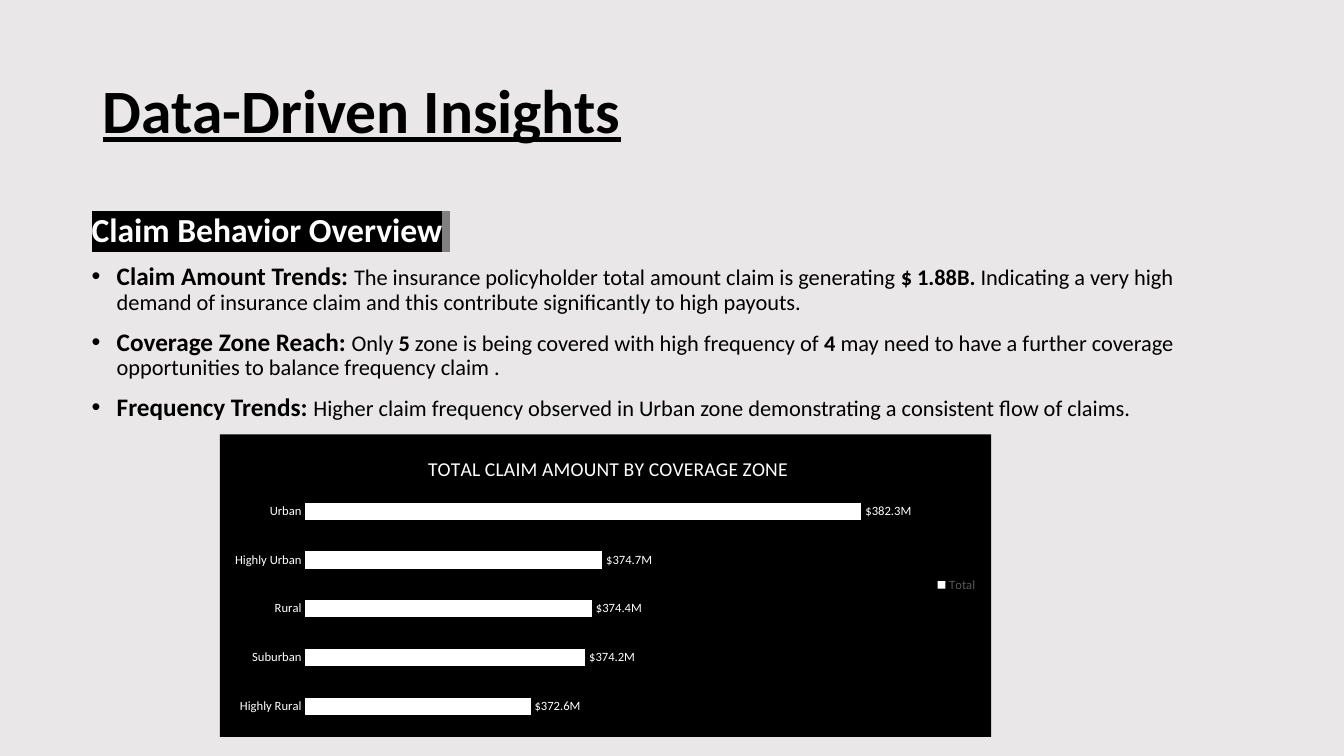
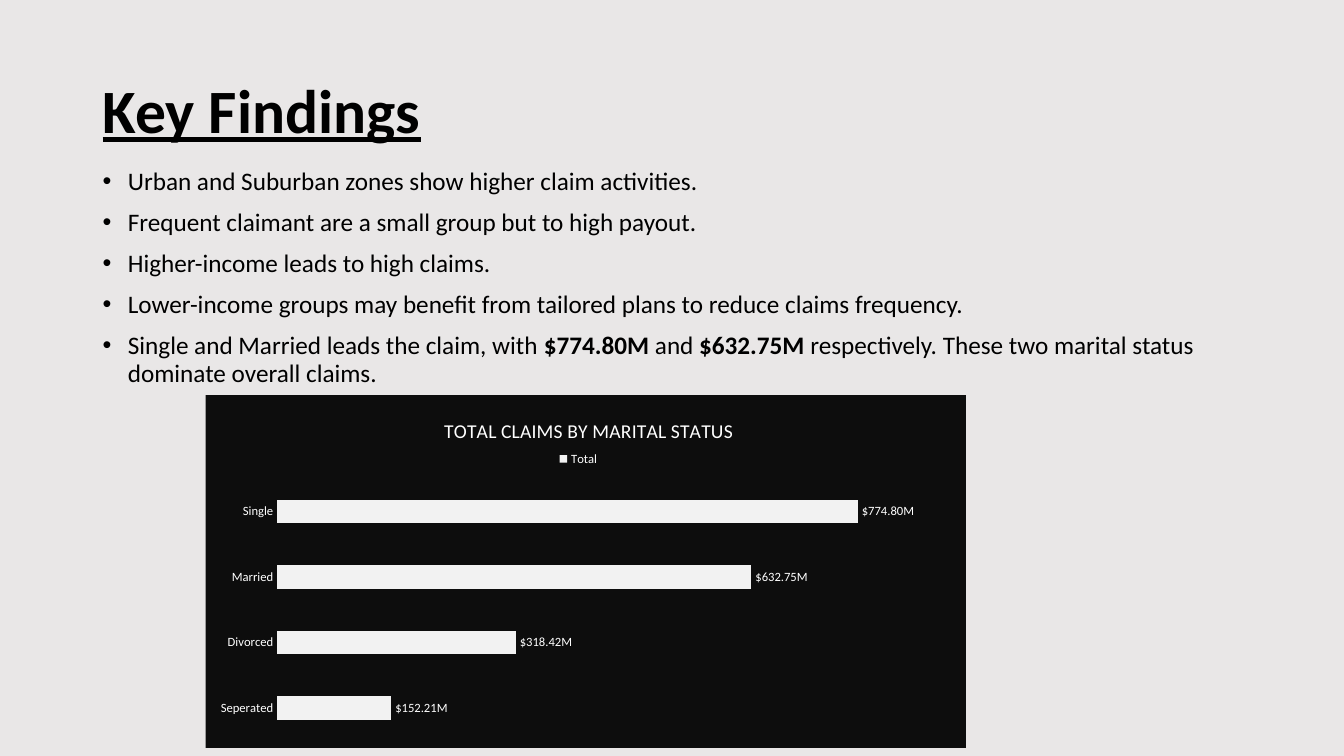
"""Build two insurance claim slides, each with a title, bullets and a bar chart."""
from lxml import etree
from pptx import Presentation
from pptx.chart import data as chart_data
from pptx.dml.color import RGBColor
from pptx.enum import chart as ce, text as te
from pptx.oxml import parse_xml
from pptx.oxml import ns
from pptx.util import Inches, Pt

FONT = "Calibri"
PAPER = RGBColor(0xE9, 0xE7, 0xE7)
BLACK = RGBColor(0x00, 0x00, 0x00)
WHITE = RGBColor(0xFF, 0xFF, 0xFF)
GRAY = RGBColor(0x80, 0x80, 0x80)
DARK_GRAY = RGBColor(0x59, 0x59, 0x59)
NEAR_BLACK = RGBColor(0x0D, 0x0D, 0x0D)
NEAR_WHITE = RGBColor(0xF2, 0xF2, 0xF2)

SLIDES = [
    {
        "title": "Data-Driven Insights",
        "body_at": (0.81, 2.07, 11.5, 5.4),
        "heading": "Claim Behavior Overview",
        "bullets": [
            [("Claim Amount Trends: ", 18, True),
             ("The insurance policyholder total amount claim is generating ", 16, False),
             ("$ 1.88B. ", 16, True),
             ("Indicating a very high demand of insurance claim and this contribute "
              "significantly to high payouts.", 16, False)],
            [("Coverage Zone Reach: ", 18, True),
             ("Only ", 16, False), ("5", 16, True),
             (" zone is being covered with high frequency of ", 16, False),
             ("4", 16, True),
             (" may need to have a further coverage opportunities to balance "
              "frequency claim .", 16, False)],
            [("Frequency Trends: ", 18, True),
             ("Higher claim frequency observed in Urban zone demonstrating a "
              "consistent flow of claims.", 16, False)],
        ],
        "chart_at": (2.18, 4.31, 7.65, 3),
        "chart_title": "TOTAL CLAIM AMOUNT BY COVERAGE ZONE",
        "claims": {"Highly Rural": 372600000, "Suburban": 374200000, "Rural": 374400000,
                   "Highly Urban": 374700000, "Urban": 382300000},
        "format": '"$"0.0,,"M"',
        "scale": (366000000, 384000000),
        "panel": BLACK, "bar": WHITE,
        "legend": (ce.XL_LEGEND_POSITION.RIGHT, DARK_GRAY),
        "title_offset": (2.03, 0.17),
        "legend_offset": (7.08, 1.38),
        "plot_area": (0.85, 0.52, 6.09, 2.42),
    },
    {
        "title": "Key Findings",
        "body_at": (0.92, 1.62, 11.5, 5.5),
        "heading": None,
        "bullets": [
            [("Urban and Suburban zones show higher claim activities.", 18, False)],
            [("Frequent claimant are a small group but to high payout.", 18, False)],
            [("Higher-income leads to high claims.", 18, False)],
            [("Lower-income groups may benefit from tailored plans to reduce claims "
              "frequency.", 18, False)],
            [("Single and Married leads the claim, with ", 18, False),
             ("$774.80M", 18, True), (" and ", 18, False), ("$632.75M ", 18, True),
             ("respectively. These two marital status dominate overall claims.",
              18, False)],
        ],
        "chart_at": (2.04, 3.92, 7.54, 3.5),
        "chart_title": "TOTAL CLAIMS BY MARITAL STATUS",
        "claims": {"Seperated": 152210000, "Divorced": 318420000,
                   "Married": 632750000, "Single": 774800000},
        "format": '"$"0.00,,"M"',
        "scale": (0, 900000000),
        "panel": NEAR_BLACK, "bar": NEAR_WHITE,
        "legend": (ce.XL_LEGEND_POSITION.TOP, WHITE),
        "title_offset": (2.33, 0.18),
        "legend_offset": (3.47, 0.52),
        "plot_area": (0.71, 0.83, 6.69, 2.6),
    },
]


def add_run(paragraph, words, size, bold, color=BLACK, highlight=None):
    run = paragraph.add_run()
    run.text = words
    run.font.name = FONT
    run.font.size = Pt(size)
    run.font.bold = bold
    run.font.color.rgb = color
    if highlight is not None:
        marker = parse_xml(f'<a:highlight {ns.nsdecls("a")}>'
                           f'<a:srgbClr val="{highlight}"/></a:highlight>')
        run.font._element.find(ns.qn("a:solidFill")).addnext(marker)
    return run


def place(part, offsets, chart_size):
    old = part.find(ns.qn("c:layout"))
    if old is not None:
        part.remove(old)
    layout = etree.Element(ns.qn("c:layout"))
    manual = etree.SubElement(layout, ns.qn("c:manualLayout"))
    settings = [("xMode", "edge"), ("yMode", "edge")]
    if len(offsets) == 4:
        settings.insert(0, ("layoutTarget", "inner"))
    settings += [(key, str(offset / chart_size[i % 2]))
                 for i, (key, offset) in enumerate(zip("xywh", offsets))]
    for key, setting in settings:
        etree.SubElement(manual, ns.qn(f"c:{key}")).set("val", setting)
    overlay = part.find(ns.qn("c:overlay"))
    if overlay is None:
        part.insert(0 if len(offsets) == 4 else 1, layout)
    else:
        overlay.addprevious(layout)


deck = Presentation()
deck.slide_width, deck.slide_height = Inches(13.33), Inches(7.5)

for content in SLIDES:
    slide = deck.slides.add_slide(deck.slide_layouts[6])
    slide.background.fill.solid()
    slide.background.fill.fore_color.rgb = PAPER

    title = slide.shapes.add_textbox(*map(Inches, (0.92, 0.4, 11.5, 1.45))).text_frame
    title.word_wrap = True
    title.vertical_anchor = te.MSO_ANCHOR.MIDDLE
    title.paragraphs[0].line_spacing = 0.9
    add_run(title.paragraphs[0], content["title"], 44, True).font.underline = True

    body = slide.shapes.add_textbox(*map(Inches, content["body_at"])).text_frame
    body.word_wrap = True
    paragraph = body.paragraphs[0]
    if content["heading"]:
        paragraph.line_spacing = 0.9
        add_run(paragraph, content["heading"], 24, True, WHITE, BLACK)
        add_run(paragraph, " ", 24, True, WHITE, GRAY)
    for i, bullet in enumerate(content["bullets"]):
        if i or content["heading"]:
            paragraph = body.add_paragraph()
        paragraph.line_spacing = 0.9
        paragraph.space_before = Pt(10)
        properties = paragraph._p.get_or_add_pPr()
        properties.set("marL", str(Inches(0.25)))
        properties.set("indent", str(Inches(-0.25)))
        etree.SubElement(properties, ns.qn("a:buFont")).set("typeface", "Arial")
        etree.SubElement(properties, ns.qn("a:buChar")).set("char", "•")
        for words, size, bold in bullet:
            add_run(paragraph, words, size, bold)

    claims = chart_data.CategoryChartData(number_format=content["format"])
    claims.categories = list(content["claims"])
    claims.add_series("Total", list(content["claims"].values()))
    chart = slide.shapes.add_chart(ce.XL_CHART_TYPE.BAR_CLUSTERED,
                                   *map(Inches, content["chart_at"]), claims).chart
    chart.font.name = FONT
    chart.font.size = Pt(10)
    chart.font.color.rgb = BLACK
    chart._chartSpace.find(ns.qn("c:chart")).addnext(parse_xml(
        f'<c:spPr {ns.nsdecls("c", "a")}><a:solidFill><a:srgbClr val="{content["panel"]}"/>'
        '</a:solidFill><a:ln><a:noFill/></a:ln></c:spPr>'))

    chart.has_title = True
    heading = chart.chart_title.text_frame.paragraphs[0]
    add_run(heading, content["chart_title"], 14, False, WHITE)

    chart.has_legend = True
    chart.legend.position, legend_color = content["legend"]
    chart.legend.include_in_layout = False

    zones, amounts = chart.category_axis, chart.value_axis
    zones.major_tick_mark = ce.XL_TICK_MARK.NONE
    zones.format.line.fill.background()
    amounts.has_major_gridlines = False
    amounts.minimum_scale, amounts.maximum_scale = content["scale"]
    amounts.visible = False

    plot = chart.plots[0]
    plot.gap_width = 182
    plot.vary_by_categories = False
    bars = plot.series[0].format.fill
    bars.solid()
    bars.fore_color.rgb = content["bar"]
    plot.has_data_labels = True
    labels = plot.data_labels
    labels.show_value = True
    labels.position = ce.XL_LABEL_POSITION.OUTSIDE_END
    labels.number_format = content["format"]
    labels.number_format_is_linked = False

    for font, color in ((zones.tick_labels.font, WHITE), (labels.font, WHITE),
                        (chart.legend.font, legend_color)):
        font.name = FONT
        font.size = Pt(9)
        font.color.rgb = color

    chart_size = content["chart_at"][2:]
    for tag, key in (("title", "title_offset"), ("legend", "legend_offset"),
                     ("plotArea", "plot_area")):
        part = chart._chartSpace.find(ns.qn("c:chart")).find(ns.qn(f"c:{tag}"))
        place(part, content[key], chart_size)

deck.save("out.pptx")
